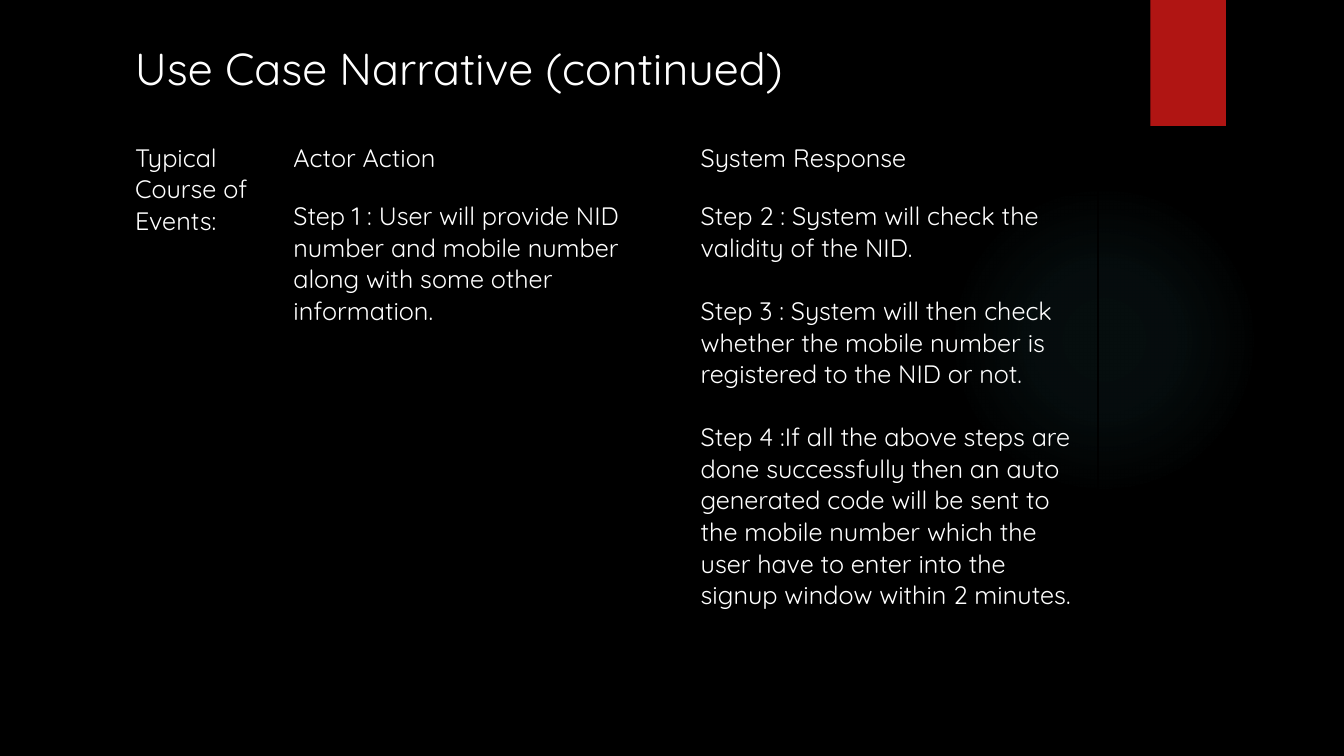
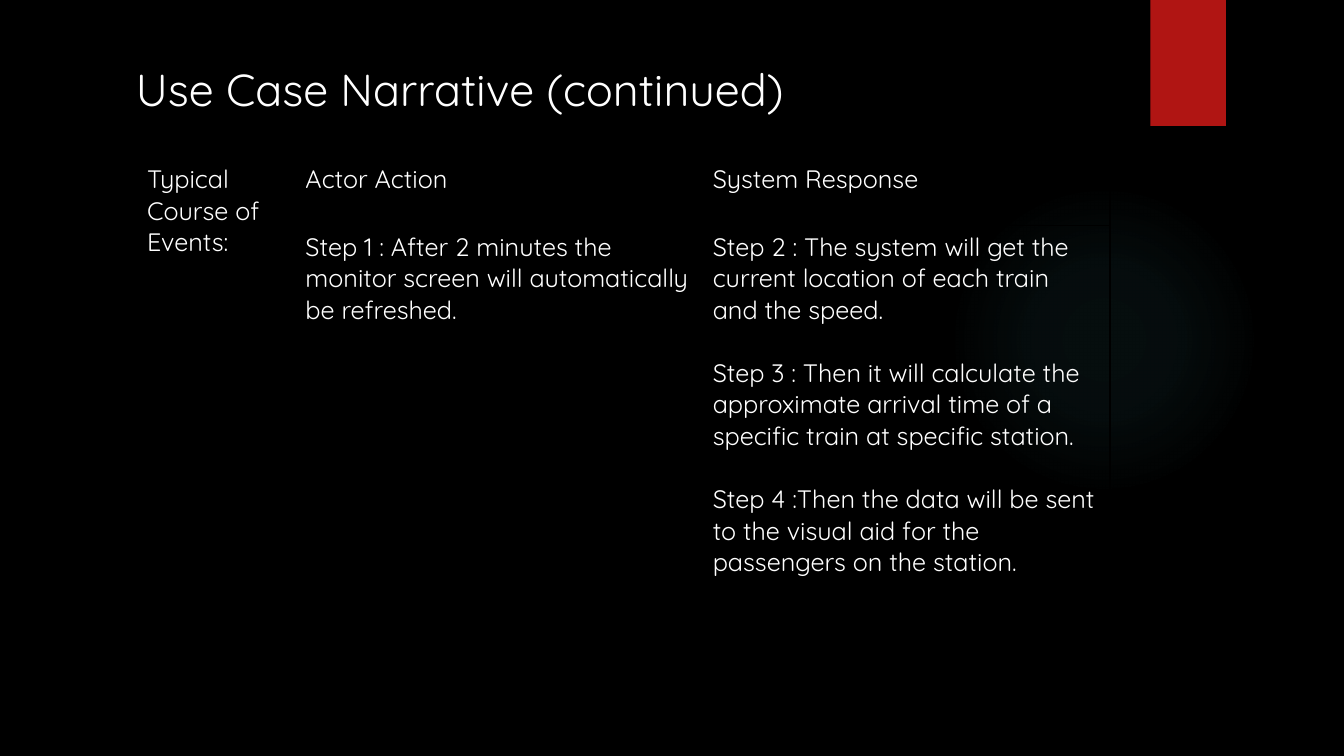
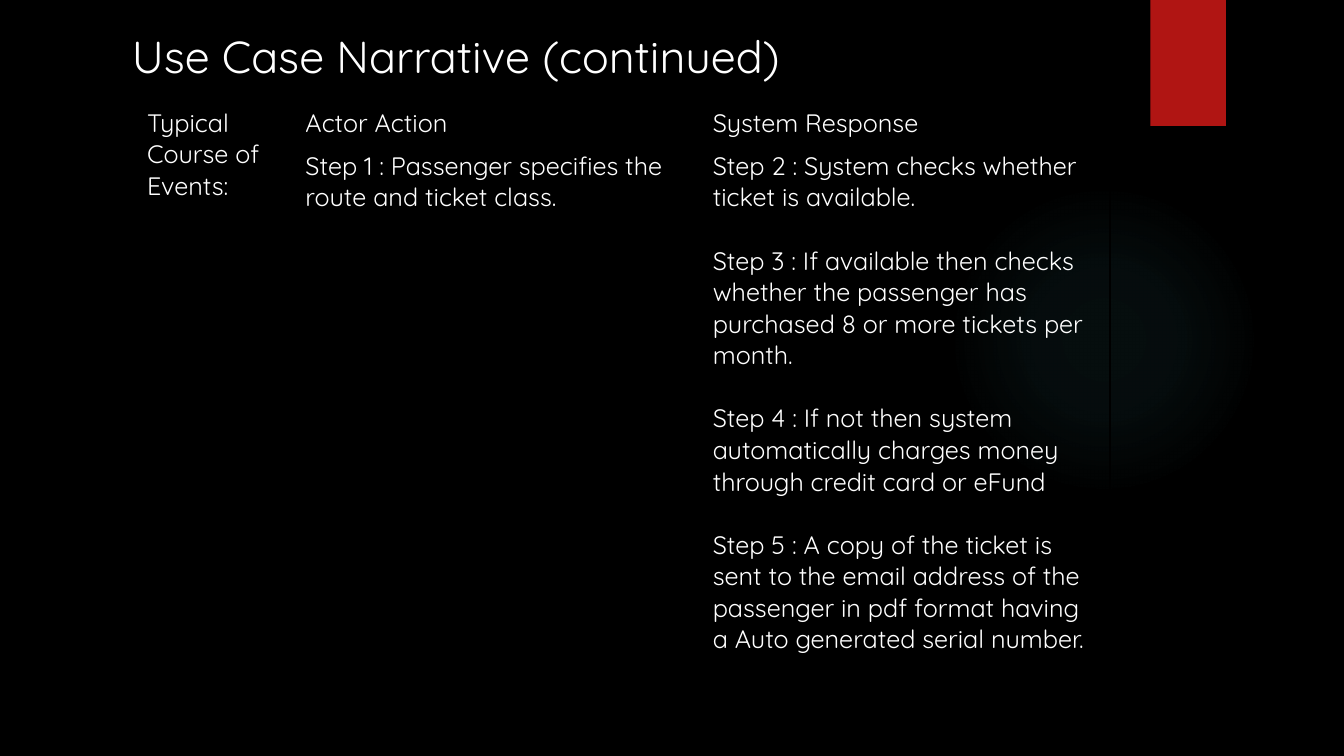
from pptx import Presentation
from pptx.dml.color import RGBColor
from pptx.enum.shapes import MSO_SHAPE
from pptx.oxml import parse_xml
from pptx.oxml.ns import nsdecls
from pptx.util import Inches, Pt

OVAL, RECTANGLE = MSO_SHAPE.OVAL, MSO_SHAPE.RECTANGLE
WIDTH, HEIGHT = 13.33, 7.5
BLACK, WHITE, RED, TEAL = "000000", "FFFFFF", "B01513", "50B9C1"
FONT, TITLE_SIZE, BODY_SIZE = "Quicksand", 32, 18
STEP_GAP = 22.5
LABEL_WIDTH, STEP_WIDTH = 1.57, 4.04
TITLE_BOX = (7.1, 0.64)
GLOW_BOX = (9.41, 1.83, 3.08, 3.08)
BAND_BOX = (11.41, 0, 0.75, HEIGHT / 6)
GLOW_STOPS = ((0, 7), (36, 6), (69, 0))

TITLE = "Use Case Narrative (continued)"
LABEL = "Typical Course of Events:"
HEADINGS = ("Actor Action", "System Response")

NARRATIVES = (
    {
        "title_at": (1.24, 0.36),
        "course_at": (1.24, 1.36),
        "rows": (0.58, 4.77),
        "actor": ("Step 1 : User will provide NID number and mobile number along with some other information.",),
        "system": (
            "Step 2 : System will check the validity of the NID.",
            "Step 3 : System will then check whether the mobile number is registered to the NID or not.",
            "Step 4 :If all the above steps are done successfully then an auto generated code will be sent "
            "to the mobile number which the user have to enter into the signup window within 2 minutes.",
        ),
    },
    {
        "title_at": (1.25, 0.56),
        "course_at": (1.36, 1.57),
        "rows": (0.67, 4.11),
        "actor": ("Step 1 : After 2 minutes the monitor screen will automatically be refreshed.",),
        "system": (
            "Step 2 : The system will get the current location of each train and the speed.",
            "Step 3 : Then it will calculate the approximate arrival time of a specific train at specific station.",
            "Step 4 :Then the data will be sent to the visual aid for the passengers on the station.",
        ),
    },
    {
        "title_at": (1.21, 0.24),
        "course_at": (1.36, 1.01),
        "rows": (0.43, 5.27),
        "actor": ("Step 1 : Passenger specifies the route and ticket class.",),
        "system": (
            "Step 2 : System checks whether ticket is available.",
            "Step 3 : If available then checks whether the passenger has purchased 8 or more tickets per month.",
            "Step 4 : If not then system automatically charges money through credit card or eFund",
            "Step 5 : A copy of the ticket is sent to the email address of the passenger in pdf format "
            "having a Auto generated serial number.",
        ),
    },
)


def paint(fill, color):
    """Fill with one solid hex colour."""
    fill.solid()
    fill.fore_color.rgb = RGBColor.from_string(color)


def write(frame, paragraphs, size):
    """Write paragraphs in the deck's font, with a gap between them."""
    frame.word_wrap = True
    for index, text in enumerate(paragraphs):
        paragraph = frame.add_paragraph() if index else frame.paragraphs[0]
        paragraph.text = text
        paragraph.space_before = Pt(STEP_GAP if index else 0)
        paragraph.font.name = FONT
        paragraph.font.size = Pt(size)
        paint(paragraph.font.fill, WHITE)


def add_plain_shape(slide, kind, box):
    """Add a shape without outline or shadow."""
    shape = slide.shapes.add_shape(kind, *map(Inches, box))
    shape.shadow.inherit = False
    shape.line.fill.background()
    return shape


def add_backdrop(slide):
    """Place the faint round glow and the red band."""
    glow = add_plain_shape(slide, OVAL, GLOW_BOX)
    stops = "".join(
        f'<a:gs pos="{share * 1000}"><a:srgbClr val="{TEAL}">'
        f'<a:alpha val="{opacity * 1000}"/></a:srgbClr></a:gs>'
        for share, opacity in GLOW_STOPS
    )
    gradient = parse_xml(
        f'<a:gradFill {nsdecls("a")}><a:gsLst>{stops}</a:gsLst><a:path path="circle">'
        '<a:fillToRect l="50000" t="50000" r="50000" b="50000"/></a:path></a:gradFill>'
    )
    glow._element.spPr.prstGeom.addnext(gradient)
    paint(add_plain_shape(slide, RECTANGLE, BAND_BOX).fill, RED)


def add_title(slide, left, top):
    """Place the slide title."""
    title = slide.shapes.add_textbox(*map(Inches, (left, top, *TITLE_BOX)))
    write(title.text_frame, (TITLE,), TITLE_SIZE)


def rule_cell(cell):
    """Draw thin black borders around a clear cell."""
    cell.fill.background()
    properties = cell._tc.get_or_add_tcPr()
    for index, side in enumerate("LRTB"):
        border = parse_xml(
            f'<a:ln{side} {nsdecls("a")} w="12700"><a:solidFill>'
            f'<a:srgbClr val="{BLACK}"/></a:solidFill></a:ln{side}>'
        )
        properties.insert(index, border)


def add_grid(slide, left, top, widths, heights, cells):
    """Place a table of paragraph lists with the given columns and rows."""
    box = (left, top, sum(widths), sum(heights))
    table = slide.shapes.add_table(len(heights), len(widths), *map(Inches, box)).table
    table.first_row = table.horz_banding = False
    for column, width in zip(table.columns, widths):
        column.width = Inches(width)
    for row, height, texts in zip(table.rows, heights, cells):
        row.height = Inches(height)
        for cell, paragraphs in zip(row.cells, texts):
            rule_cell(cell)
            write(cell.text_frame, paragraphs, BODY_SIZE)


def add_course(slide, left, top, rows, actor, system):
    """Place the course label and, to its right, the steps table."""
    headings = [(heading,) for heading in HEADINGS]
    add_grid(slide, left + LABEL_WIDTH, top, (STEP_WIDTH,) * 2, rows, (headings, (actor, system)))
    add_grid(slide, left, top, (LABEL_WIDTH,), (sum(rows),), (((LABEL,),),))


def add_narrative(deck, narrative):
    """Build one use case narrative slide."""
    slide = deck.slides.add_slide(deck.slide_layouts[6])
    add_backdrop(slide)
    add_course(slide, *narrative["course_at"], narrative["rows"], narrative["actor"], narrative["system"])
    add_title(slide, *narrative["title_at"])


def main():
    """Build and save the deck."""
    deck = Presentation()
    deck.slide_width, deck.slide_height = Inches(WIDTH), Inches(HEIGHT)
    paint(deck.slide_master.background.fill, BLACK)
    for narrative in NARRATIVES:
        add_narrative(deck, narrative)
    deck.save("out.pptx")


if __name__ == "__main__":
    main()
